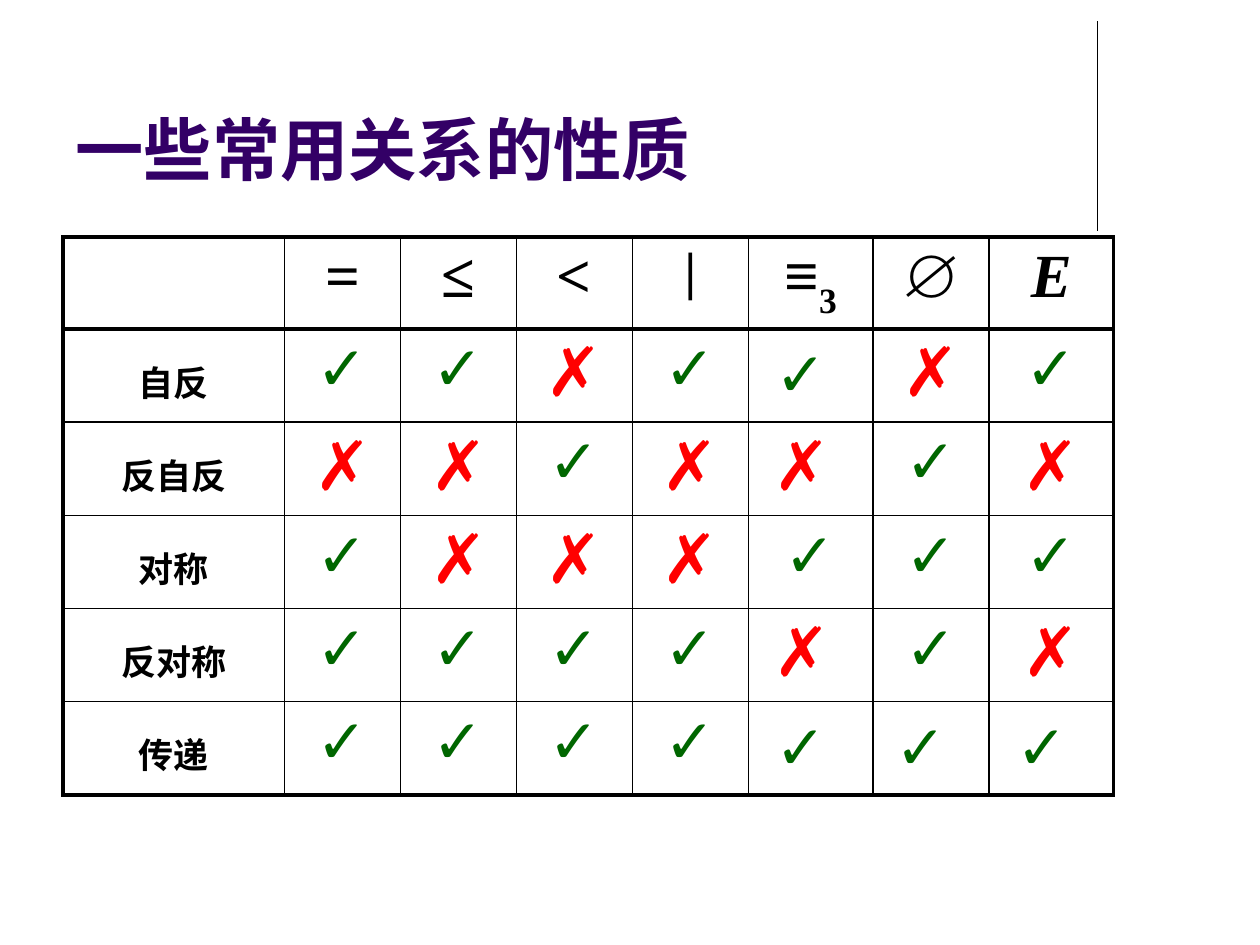
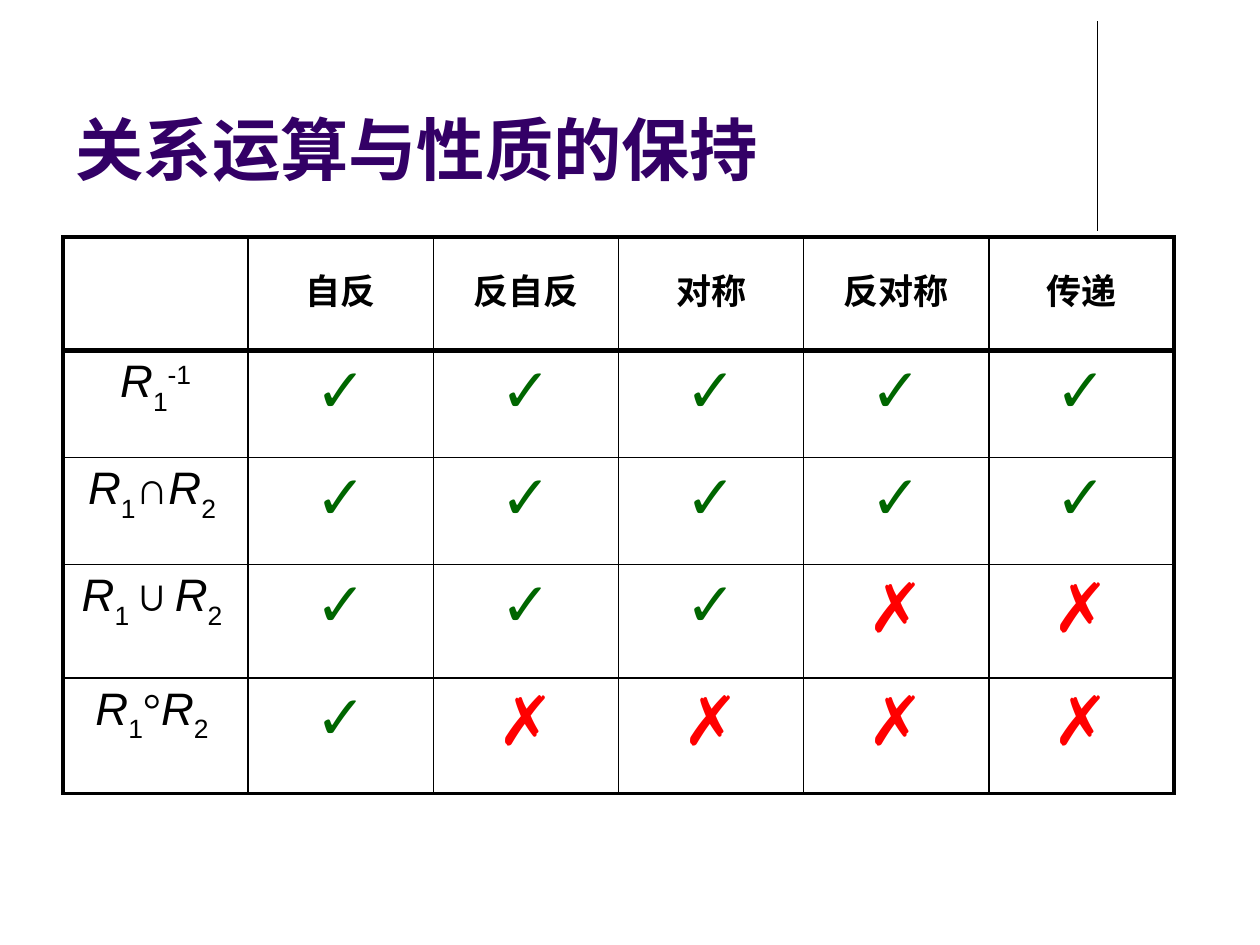
from lxml import etree
from pptx import Presentation
from pptx import util as u
from pptx.dml.color import RGBColor
from pptx.enum import shapes, text
from pptx.oxml.ns import qn

INK, TITLE, GREEN, RED = "000000", "330066", "006600", "FF0000"
SANS, SERIF = "Arial", "Times New Roman"
UNIT = 0.1
THIN, FRAME, HEAD = 1, 2.25, 3
STYLES = {
    "title": dict(size=39, color=TITLE, bold=True),
    "label": dict(size=20, bold=True),
    "symbol": dict(size=35, font=SERIF, bold=True),
    "bar": dict(size=30, font=SERIF, bold=True),
    "letter": dict(size=35, font=SERIF, bold=True, italic=True),
    "index": dict(size=35, font=SERIF, bold=True, base=-25),
    "tick": dict(size=35, color=GREEN, bold=True),
    "cross": dict(size=39, color=RED, bold=True),
    "relation": dict(size=26, italic=True),
    "sub": dict(size=26, base=-30),
    "sup": dict(size=26, base=30),
    "operator": dict(size=26, font=SERIF),
}
PROPERTIES = ["自反", "反自反", "对称", "反对称", "传递"]


def rgb(value):
    return RGBColor.from_string(value)


def grid(n):
    return u.Inches(n * UNIT)


def labels(words):
    return [[(word, "label")] for word in words]


def marks(row):
    cells = []
    for mark in row.split(","):
        pair = ["tick", "cross"] if mark[0] == "✓" else ["cross", "tick"]
        cells.append(list(zip(mark, pair)))
    return cells


def pair_of_relations(operator):
    return [("R", "relation"), ("1", "sub"), (operator, "operator"),
            ("R", "relation"), ("2 ", "sub")]


class Deck:
    """Holds the presentation, its style and the current slide."""

    def __init__(self):
        self.prs = Presentation()
        self.prs.slide_width, self.prs.slide_height = grid(100), grid(75)

    def slide(self, title):
        self.s = self.prs.slides.add_slide(self.prs.slide_layouts[5])
        self.rule(87.1, 1.7, 18.3)
        sp = self.s.shapes.title
        sp.left, sp.top, sp.width, sp.height = map(grid, (5, 1.3, 82.5, 14.2))
        tf = sp.text_frame
        tf.word_wrap = True
        tf.auto_size = text.MSO_AUTO_SIZE.NONE
        tf.vertical_anchor = text.MSO_ANCHOR.BOTTOM
        self.add_runs(tf, [(title, "title")], text.PP_ALIGN.LEFT)

    def rule(self, x, top, bottom):
        line = self.s.shapes.add_connector(
            shapes.MSO_CONNECTOR.STRAIGHT, grid(x), grid(top), grid(x), grid(bottom))
        line.line.color.rgb = rgb(INK)
        line.line.width = u.Pt(0.75)
        etree.SubElement(line._element.spPr, qn("a:effectLst"))

    def add_runs(self, tf, runs, align=text.PP_ALIGN.CENTER):
        p = tf.paragraphs[0]
        p.alignment = align
        for words, style in runs:
            r = p.add_run()
            r.text = words
            self.style_run(r, **STYLES[style])

    def style_run(self, r, size, color=INK, font=SANS, bold=False, italic=False, base=0):
        f = r.font
        f.size, f.name, f.bold, f.italic = u.Pt(size), font, bold, italic
        f.color.rgb = rgb(color)
        if base:
            f._element.set("baseline", str(base * 1000))

    def borders(self, cell, **widths):
        tc_pr = cell._tc.get_or_add_tcPr()
        for side, width in widths.items():
            ln = etree.SubElement(tc_pr, qn(f"a:ln{side}"), w=str(u.Pt(width)))
            fill = etree.SubElement(ln, qn("a:solidFill"))
            etree.SubElement(fill, qn("a:srgbClr"), val=INK)

    def table(self, widths, heights, rows):
        frame = self.s.shapes.add_table(
            len(heights), len(widths), grid(5), grid(18.8),
            grid(sum(widths)), grid(sum(heights)))
        table = frame.table
        table.first_row = table.horz_banding = False
        for column, width in zip(table.columns, widths):
            column.width = grid(width)
        for row, height in zip(table.rows, heights):
            row.height = grid(height)
        last_row, last_col = len(heights) - 1, len(widths) - 1
        for i, row in enumerate(rows):
            for j, runs in enumerate(row):
                cell = table.cell(i, j)
                self.borders(
                    cell,
                    L=FRAME if j == 0 else THIN,
                    R=FRAME if j == last_col else THIN,
                    T={0: FRAME, 1: HEAD}.get(i, THIN),
                    B={0: HEAD, last_row: FRAME}.get(i, THIN))
                cell.fill.background()
                if runs and runs[0][1] == "label":
                    cell.margin_top = grid(2.1)
                self.add_runs(cell.text_frame, runs)


def main():
    deck = Deck()

    deck.slide("一些常用关系的性质")
    header = [[], [("=", "symbol")], [("≤", "symbol")], [("<", "symbol")], [("|", "bar")],
              [("≡", "symbol"), ("3", "index")], [("∅", "symbol")], [("E", "letter")]]
    results = ["✓,✓,✗,✓,✓ ,✗,✓",
               "✗,✗,✓,✗,✗ ,✓,✗",
               "✓,✗,✗,✗,✓,✓,✓",
               "✓,✓,✓,✓,✗ ,✓,✗",
               "✓,✓,✓,✓,✓ ,✓ ,✓ "]
    body = [[name] + marks(row) for name, row in zip(labels(PROPERTIES), results)]
    deck.table([17.6] + [9.2] * 4 + [9.9, 9.2, 9.9], [7.3] + [7.4] * 5, [header] + body)

    deck.slide("关系运算与性质的保持")
    inverse = [("R", "relation"), ("1", "sub"), ("-1", "sup")]
    operations = [inverse] + [pair_of_relations(operator) for operator in "∩∪°"]
    results = ["✓,✓,✓,✓,✓", "✓,✓,✓,✓,✓", "✓,✓,✓,✗,✗", "✓,✗,✗,✗,✗"]
    body = [[name] + marks(row) for name, row in zip(operations, results)]
    deck.table([14.7] * 6, [9, 8.5, 8.5, 9, 9.2], [[[]] + labels(PROPERTIES)] + body)

    deck.prs.save("out.pptx")


if __name__ == "__main__":
    main()
